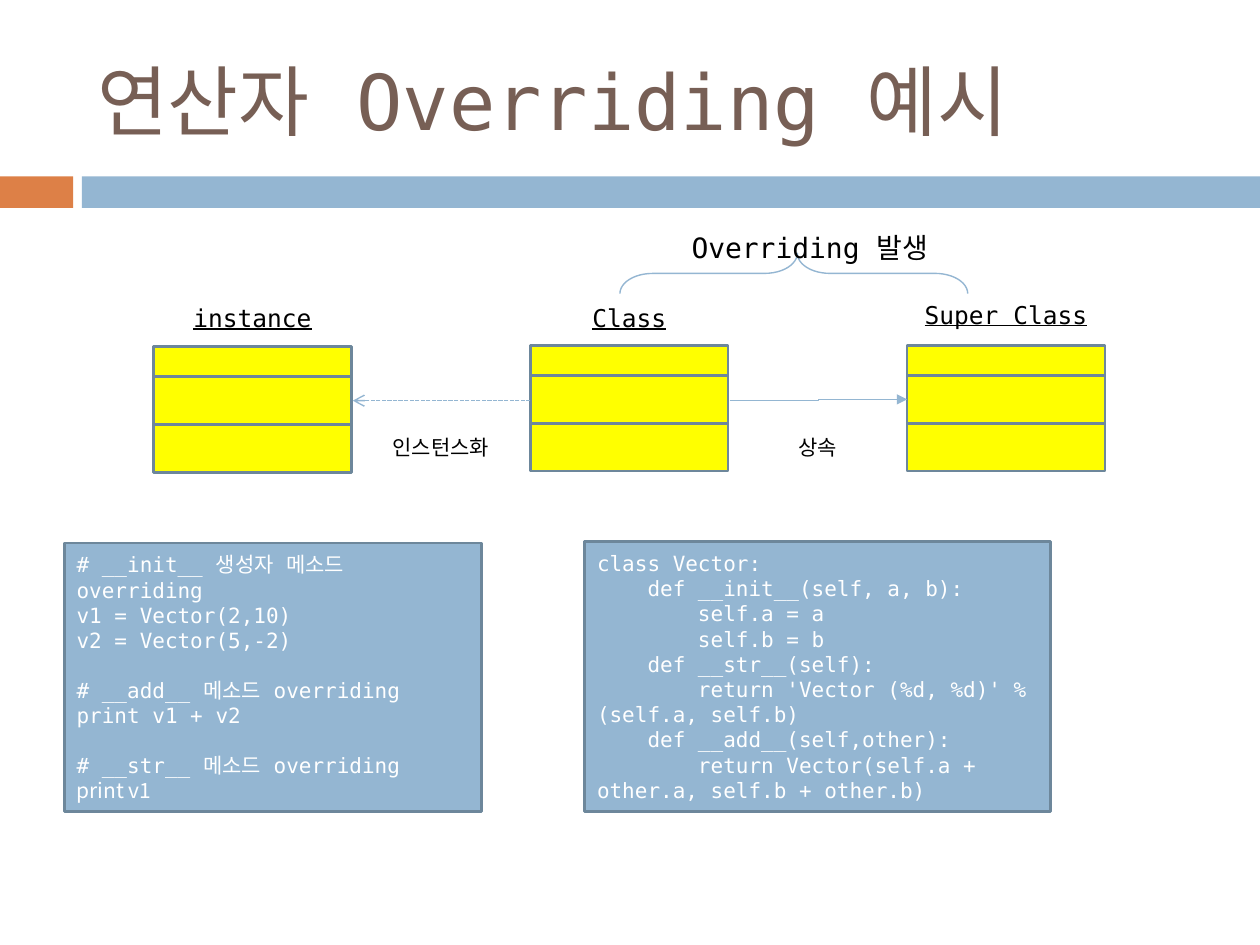
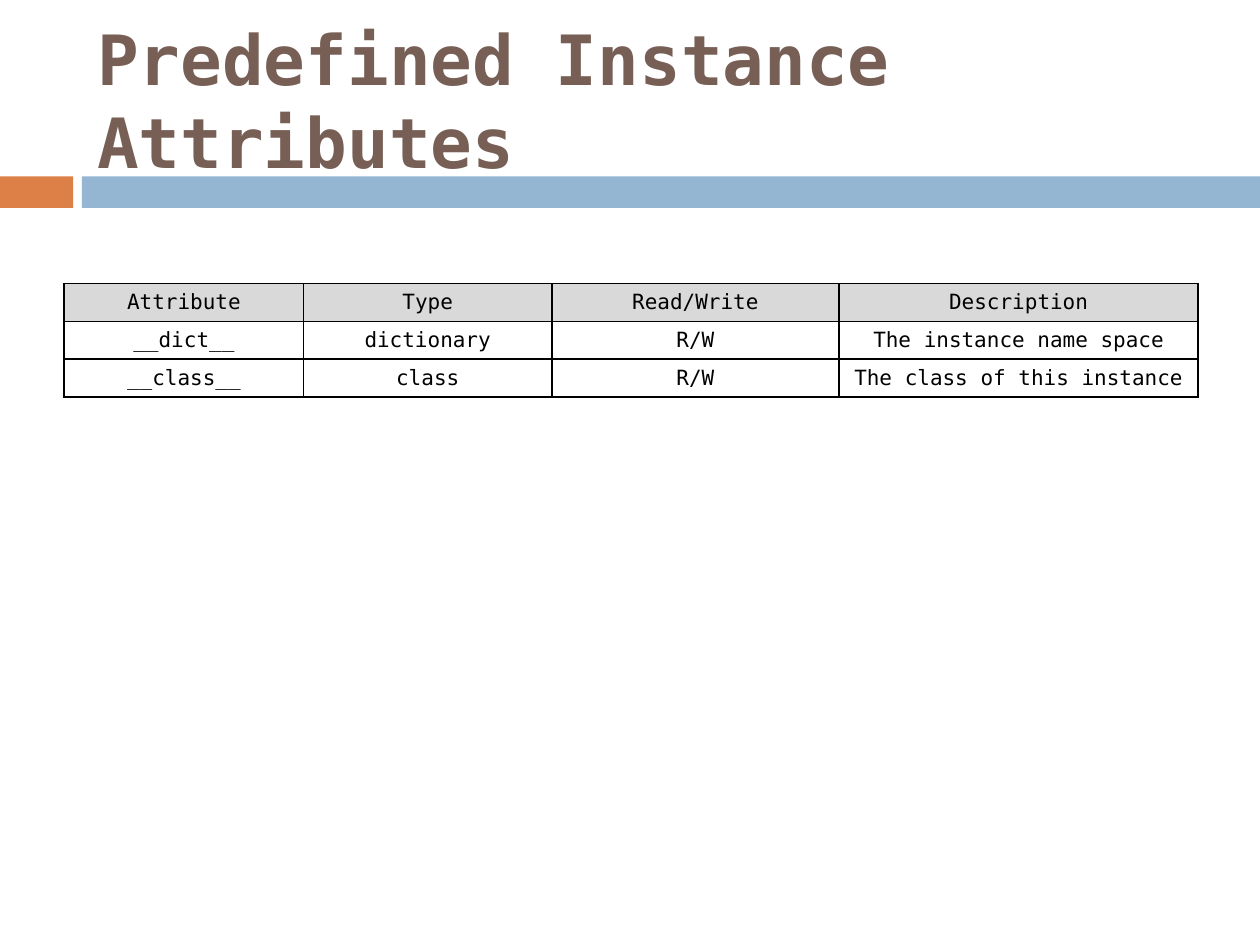
from itertools import accumulate

from lxml.etree import SubElement
from pptx import Presentation
from pptx.dml.color import RGBColor
from pptx.enum.dml import MSO_LINE_DASH_STYLE as Dash
from pptx.enum.shapes import MSO_CONNECTOR as Connector, MSO_SHAPE as Shape
from pptx.enum.text import MSO_ANCHOR as Anchor, MSO_AUTO_SIZE as AutoSize, PP_ALIGN as Align
from pptx.oxml.ns import qn
from pptx.util import Emu, Pt

EMU_PER_PX = 9144
MONO = "DejaVu Sans Mono"
KOREAN = "Noto Sans CJK KR"
ORANGE, BLUE, SLATE, BROWN = "DD8047", "94B6D2", "6D879B", "775F55"
YELLOW, GRAY, BLACK, WHITE = "FFFF00", "D9D9D9", "000000", "FFFFFF"

CLASS_CODE = """class Vector:
    def __init__(self, a, b):
        self.a = a
        self.b = b
    def __str__(self):
        return 'Vector (%d, %d)' % (self.a, self.b)
    def __add__(self,other):
        return Vector(self.a + other.a, self.b + other.b)"""

USAGE_CODE = """# __init__ 생성자 메소드 overriding
v1 = Vector(2,10)
v2 = Vector(5,-2)
# __add__ 메소드 overriding
print v1 + v2
# __str__ 메소드 overriding
print v1"""

ATTRIBUTES = [
    ["Attribute", "Type", "Read/Write", "Description"],
    ["__dict__", "dictionary", "R/W", "The instance name space"],
    ["__class__", "class", "R/W", "The class of this instance"],
]


def px(*lengths):
    return [Emu(length * EMU_PER_PX) for length in lengths]


def color(hex_code):
    return RGBColor.from_string(hex_code)


def write(frame, text, size=12, fill=BLACK, align=Align.LEFT, font=MONO,
          bold=False, underline=False, anchor=Anchor.TOP):
    frame.word_wrap = True
    frame.vertical_anchor = anchor
    for index, line in enumerate(text.split("\n")):
        paragraph = frame.add_paragraph() if index else frame.paragraphs[0]
        paragraph.alignment = align
        run = paragraph.add_run()
        run.text = line
        style = run.font
        style.name, style.size = font, Pt(size)
        style.bold, style.underline = bold, underline
        style.color.rgb = color(fill)
        SubElement(run._r.rPr, qn("a:ea"), typeface=font)
    return frame.paragraphs


class Deck:
    def __init__(self):
        self.presentation = Presentation()
        self.presentation.slide_width, self.presentation.slide_height = px(1000, 750)
        self.slide = None

    def add_slide(self, title, size=44, bold=False):
        layout = self.presentation.slide_layouts[5]
        self.slide = self.presentation.slides.add_slide(layout)
        self.rectangle(0, 140, 58, 25, ORANGE)
        self.rectangle(65, 140, 935, 25, BLUE)
        heading = self.slide.shapes.title
        heading.left, heading.top, heading.width, heading.height = px(67, 25, 892, 108)
        heading.text_frame.auto_size = AutoSize.NONE
        write(heading.text_frame, title, size=size, bold=bold, fill=BROWN, anchor=Anchor.MIDDLE)

    def rectangle(self, left, top, width, height, fill, outline=None):
        shape = self.slide.shapes.add_shape(Shape.RECTANGLE, *px(left, top, width, height))
        shape.shadow.inherit = False
        shape.fill.solid()
        shape.fill.fore_color.rgb = color(fill)
        if outline:
            shape.line.color.rgb = color(outline)
            shape.line.width = Pt(1.5)
        else:
            shape.line.fill.background()
        return shape

    def label(self, left, top, width, height, text, **text_format):
        box = self.slide.shapes.add_textbox(*px(left, top, width, height))
        box.text_frame.auto_size = AutoSize.SHAPE_TO_FIT_TEXT
        write(box.text_frame, text, **text_format)

    def class_box(self, left, top, name, name_top):
        heights = [24, 38, 38]
        for offset, height in zip(accumulate(heights, initial=0), heights):
            self.rectangle(left, top + offset, 157, height, YELLOW, SLATE)
        self.label(left, name_top, 157, 27, name, size=14, align=Align.CENTER, underline=True)

    def arrow(self, kind, start, end, head, dash=None):
        connector = self.slide.shapes.add_connector(kind, *px(*start, *end))
        connector.line.color.rgb = color(BLUE)
        connector.line.width = Pt(0.79)
        if dash:
            connector.line.dash_style = dash
        SubElement(connector.line._get_or_add_ln(), qn("a:tailEnd"), type=head)
        SubElement(connector._element.spPr, qn("a:effectLst"))

    def brace(self, left, top, width, height):
        shape = self.slide.shapes.add_shape(Shape.LEFT_BRACE, *px(left, top, width, height))
        shape.rotation = 90
        shape.adjustments[0], shape.adjustments[1] = 0.81, 0.49
        shape.shadow.inherit = False
        shape.fill.background()
        shape.line.color.rgb = color(BLUE)
        shape.line.width = Pt(0.79)

    def code(self, left, top, width, height, text):
        panel = self.rectangle(left, top, width, height, BLUE, SLATE)
        return write(panel.text_frame, text, fill=WHITE, anchor=Anchor.MIDDLE)

    def table(self, left, top, widths, row_height, rows):
        size = px(left, top, sum(widths), row_height * len(rows))
        table = self.slide.shapes.add_table(len(rows), len(widths), *size).table
        table.first_row = table.horz_banding = False
        for column, width in zip(table.columns, px(*widths)):
            column.width = width
        for row_index, texts in enumerate(rows):
            for column_index, text in enumerate(texts):
                cell = table.cell(row_index, column_index)
                write(cell.text_frame, text, align=Align.CENTER)
                cell.vertical_anchor = Anchor.MIDDLE
                self.border(cell)
                cell.fill.solid()
                cell.fill.fore_color.rgb = color(WHITE if row_index else GRAY)

    def border(self, cell):
        properties = cell._tc.get_or_add_tcPr()
        for side in ("lnL", "lnR", "lnT", "lnB"):
            line = SubElement(properties, qn(f"a:{side}"), w=str(Pt(1)))
            fill = SubElement(line, qn("a:solidFill"))
            SubElement(fill, qn("a:srgbClr"), val=BLACK)


def add_overriding_slide(deck):
    deck.add_slide("연산자 Overriding 예시")
    classes = [("instance", 275, 236), ("Class", 274, 236), ("Super Class", 274, 233)]
    for index, (name, top, name_top) in enumerate(classes):
        deck.class_box(122 + 299 * index, top, name, name_top)
    deck.arrow(Connector.ELBOW, (579, 318), (720, 317), "triangle")
    deck.arrow(Connector.STRAIGHT, (421, 318), (280, 318), "arrow", Dash.SQUARE_DOT)
    deck.label(602, 340, 94, 24, "상속", align=Align.CENTER)
    deck.label(295, 340, 110, 24, "인스턴스화", align=Align.CENTER)
    deck.brace(614, 79, 32, 276)
    deck.label(539, 178, 220, 30, "Overriding 발생", size=16)
    deck.code(464, 430, 370, 214, CLASS_CODE)
    usage = deck.code(51, 431, 331, 213, USAGE_CODE)
    for paragraph in usage[1:]:
        if paragraph.text.startswith("#"):
            paragraph.space_before = Pt(14)
    last_run = usage[-1].runs[0]
    last_run.font.name = KOREAN


def add_attributes_slide(deck):
    deck.add_slide("Predefined Instance Attributes", size=39.6, bold=True)
    deck.table(51, 225, [190, 197, 228, 285], 30, ATTRIBUTES)


def main():
    deck = Deck()
    add_overriding_slide(deck)
    add_attributes_slide(deck)
    deck.presentation.save("out.pptx")


if __name__ == "__main__":
    main()
